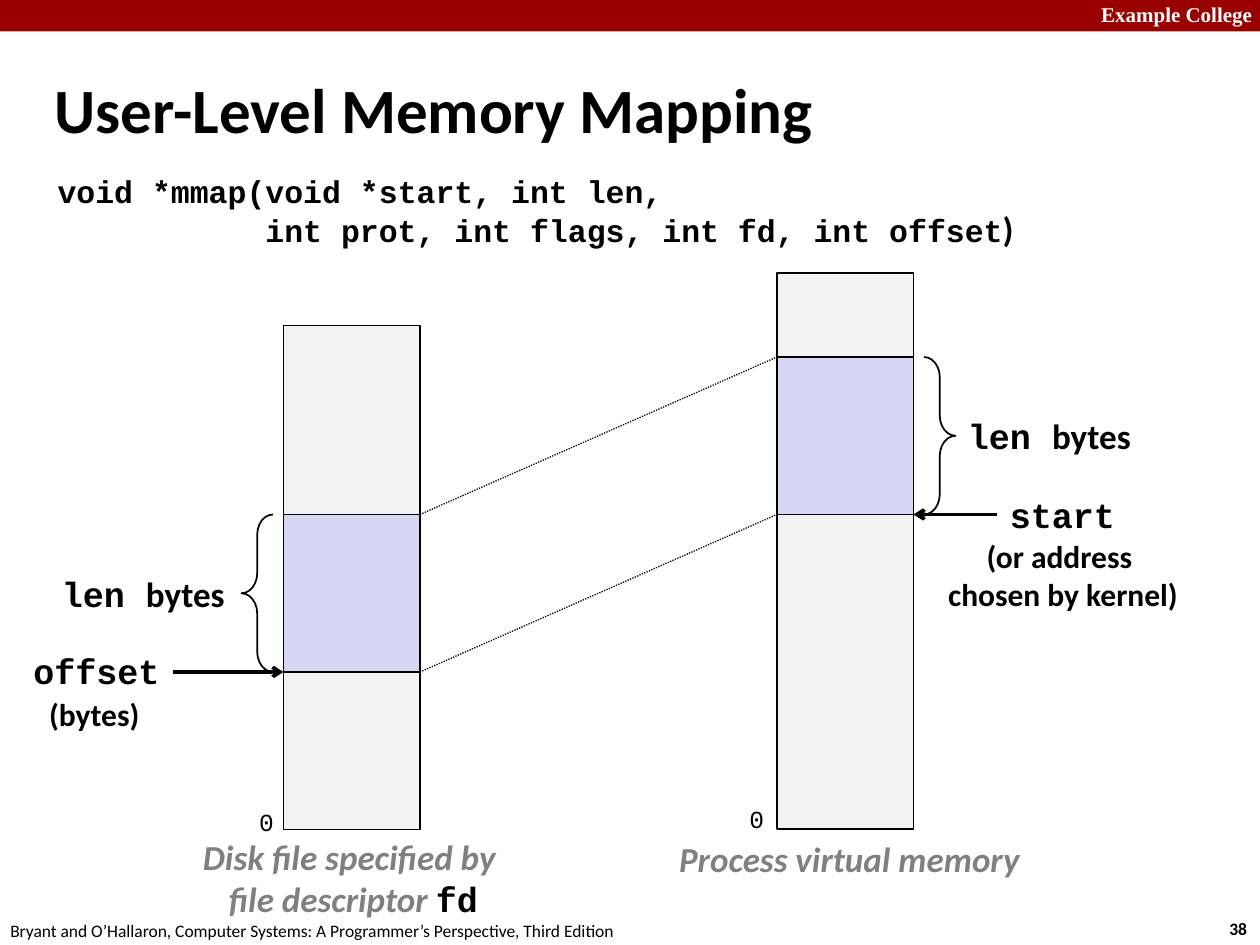
from pptx import Presentation, util as u
from pptx.dml.color import RGBColor
from pptx.enum import dml, shapes, text
from pptx.oxml.ns import qn
from lxml import etree
from dataclasses import dataclass

PX = 7620  # EMU in one px, 120 px to the inch


@dataclass(frozen=True)
class Theme:
    ink: str = "000000"
    paper: str = "FFFFFF"
    bar: str = "990000"
    idle: str = "F2F2F2"
    mapped: str = "D6D6F5"
    soft: str = "808080"
    sans: str = "Calibri"
    mono: str = "Courier New"
    serif: str = "Times New Roman"
    title: int = 36
    label: int = 20
    body: int = 18
    zero: int = 14
    head: int = 12
    foot: int = 10


T = Theme()


def write(box, lines, size=T.label, font=T.sans, color=T.ink, bold=True,
          italic=False, align=None, wrap=False, anchor=None, space=None,
          indents=()):
    """Add a text box; a line is a string or a list of (string, overrides)."""
    frame = page.add_textbox(*(n * PX for n in box)).text_frame
    frame.word_wrap = wrap
    if anchor is not None:
        frame.vertical_anchor = anchor
    for i, line in enumerate(lines):
        para = frame.paragraphs[0] if i == 0 else frame.add_paragraph()
        para.alignment = align
        para.line_spacing = space
        if indents:
            para._p.get_or_add_pPr().set("marL", str(indents[i] * PX))
        for words, own in [(line, {})] if isinstance(line, str) else line:
            run = para.add_run()
            run.text = words
            face = run.font
            face.size = u.Pt(own.get("size", size))
            face.name = own.get("font", font)
            face.bold = bold
            face.italic = own.get("italic", italic)
            face.color.rgb = RGBColor.from_string(own.get("color", color))


def draw(kind, box, fill=None, line=T.ink):
    """Add a preset shape without shadow."""
    shape = page.add_shape(kind, *(n * PX for n in box))
    shape.shadow.inherit = False
    if fill:
        shape.fill.solid()
        shape.fill.fore_color.rgb = RGBColor.from_string(fill)
    else:
        shape.fill.background()
    if line:
        shape.line.color.rgb = RGBColor.from_string(line)
        shape.line.width = u.Pt(1)
    else:
        shape.line.fill.background()
    return shape


deck = Presentation()
deck.slide_width, deck.slide_height = 1200 * PX, 900 * PX
page = deck.slides.add_slide(deck.slide_layouts[6]).shapes
rect = shapes.MSO_SHAPE.RECTANGLE
mid = text.PP_ALIGN.CENTER

# Header, footer, title and prototype
draw(rect, (0, 0, 1200, 30), T.bar, None)
write((1037, -4, 171, 36), ["Example College"], T.head, T.serif, T.paper)
write((1159, 868, 44, 32), ["38"], T.foot)
write((-2, 870, 610, 32),
      ["Bryant and O’Hallaron, Computer Systems: "
       "A Programmer’s Perspective, Third Edition"], T.foot, bold=False)
write((40, 65, 953, 76), ["User-Level Memory Mapping"], T.title, wrap=True,
      anchor=text.MSO_ANCHOR.MIDDLE)
write((43, 161, 1091, 109),
      ["void *mmap(void *start, int len,",
       [("int prot, int flags, int fd, int offset", {}),
        (")", {"font": T.sans, "size": T.label})]],
      T.body, T.mono, wrap=True, space=0.94, indents=(0, 198))

# Memory columns, each with its mapped region
wide, tall, base = 130, 150, 790
disk, proc = 270, 740
low, high = 490, 340  # tops of the mapped regions
for left, top, region in ((disk, 310, low), (proc, 260, high)):
    draw(rect, (left, top, wide, base - top), T.idle)
    draw(rect, (left, region, wide, tall), T.mapped)

# Dotted mapping lines, then arrows
edge = disk + wide
for x1, y1, x2, y2, arrow in (
        (edge, low, proc, high, False),
        (edge, low + tall, proc, high + tall, False),
        (950, high + tall, proc + wide, high + tall, True),
        (165, low + tall, disk, low + tall, True)):
    link = page.add_connector(shapes.MSO_CONNECTOR.STRAIGHT,
                              x1 * PX, y1 * PX, x2 * PX, y2 * PX)
    link.line.color.rgb = RGBColor.from_string(T.ink)
    link.line.width = u.Pt(2 if arrow else 0.75)
    if arrow:
        tail = etree.SubElement(link.line._get_or_add_ln(), qn("a:tailEnd"))
        tail.set("type", "arrow")
    else:
        link.line.dash_style = dml.MSO_LINE.ROUND_DOT
    etree.SubElement(link._element.spPr, qn("a:effectLst"))

# Braces with their labels
for left, top, flip, x, y in ((880, high, False, 910, 389),
                              (230, low, True, 47, 539)):
    brace = draw(shapes.MSO_SHAPE.RIGHT_BRACE, (left, top, 30, tall))
    brace.adjustments[0] = 0.64
    if flip:
        brace._element.spPr.xfrm.set("flipH", "1")
    write((x, y, 181, 53), [[("len ", {"font": T.mono}), ("bytes", {})]])

# Addresses and captions
write((950, 464, 125, 53), ["start"], font=T.mono)
write((890, 506, 245, 85), ["(or address ", "chosen by kernel)"], T.body,
      align=mid)
write((20, 613, 145, 53), ["offset"], font=T.mono)
write((35, 656, 110, 48), ["(bytes)"], T.body)
for x, y in ((235, 763), (702, 760)):
    write((x, y, 38, 41), ["0"], T.zero, T.mono, bold=False)
write((635, 792, 350, 53), ["Process virtual memory"], color=T.soft,
      italic=True)
write((180, 790, 313, 92),
      ["Disk file specified by ",
       [("file descriptor ", {}),
        ("fd", {"font": T.mono, "color": T.ink, "italic": False})]],
      color=T.soft, italic=True, align=mid)

deck.save("out.pptx")
